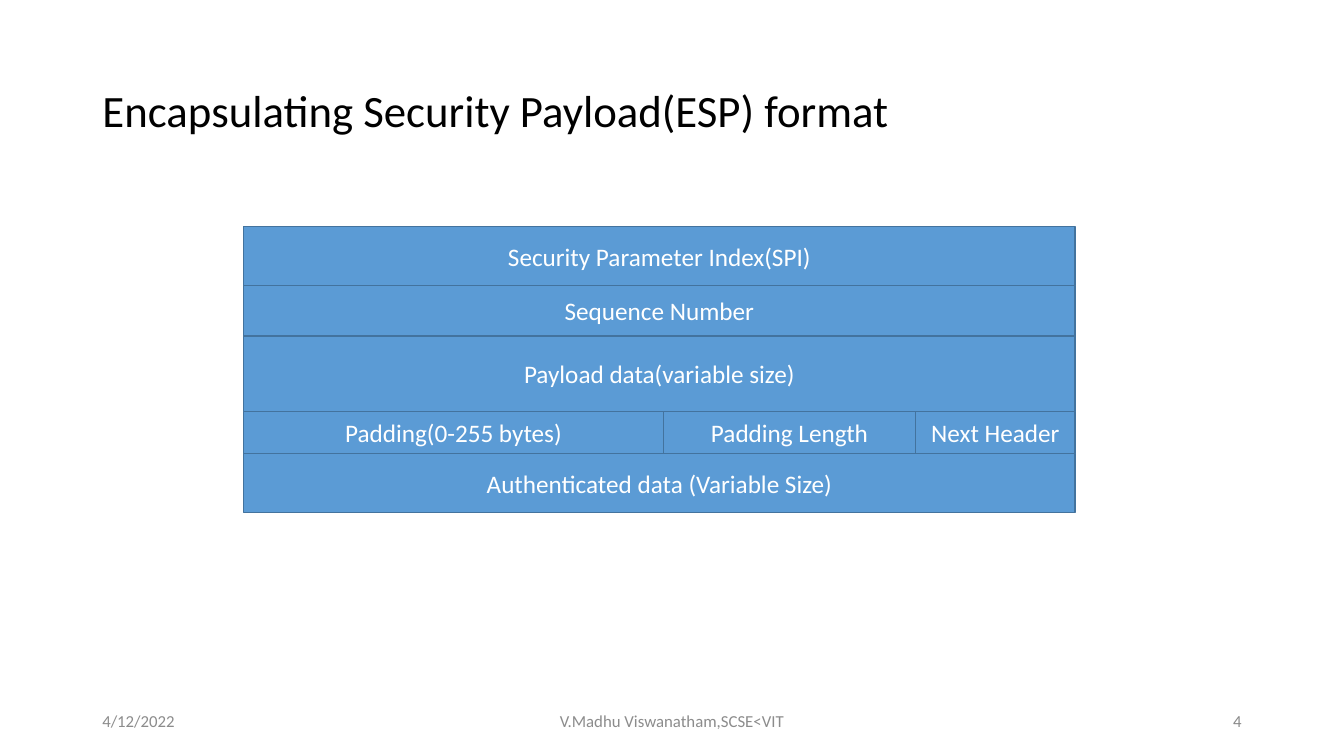
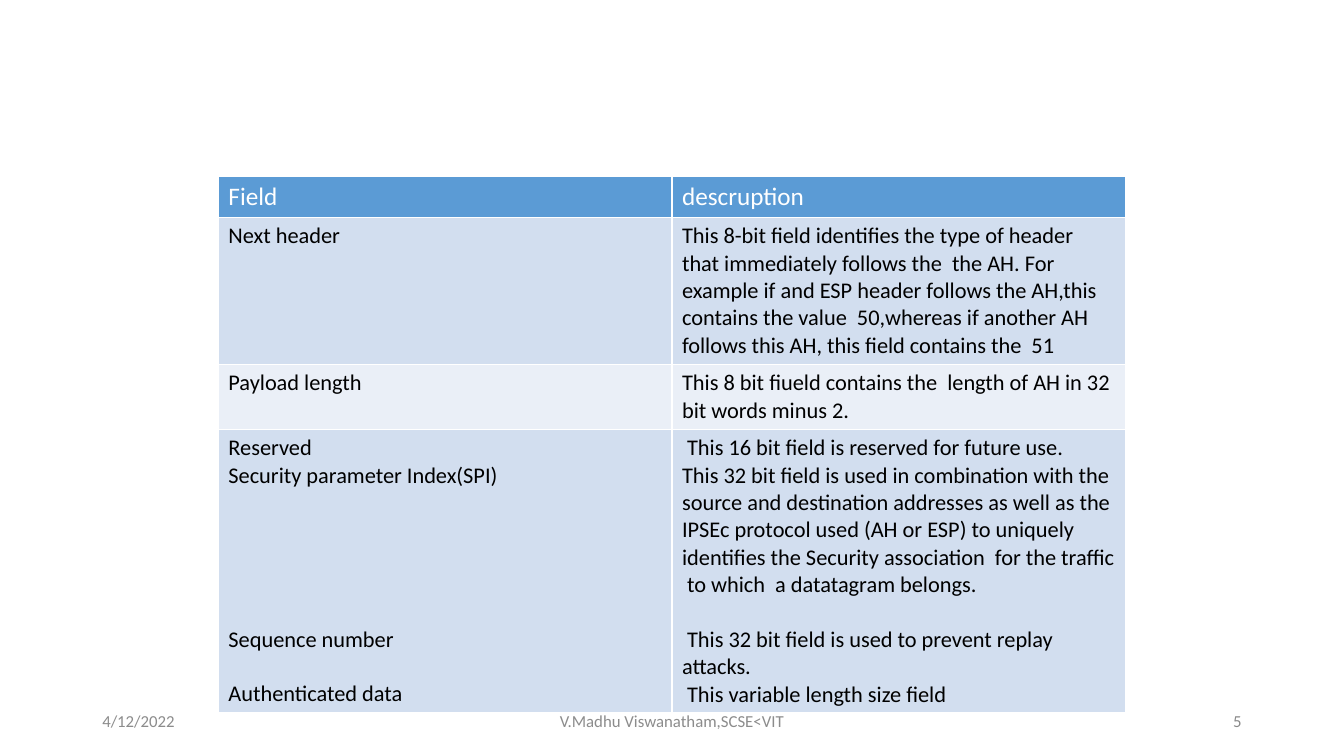
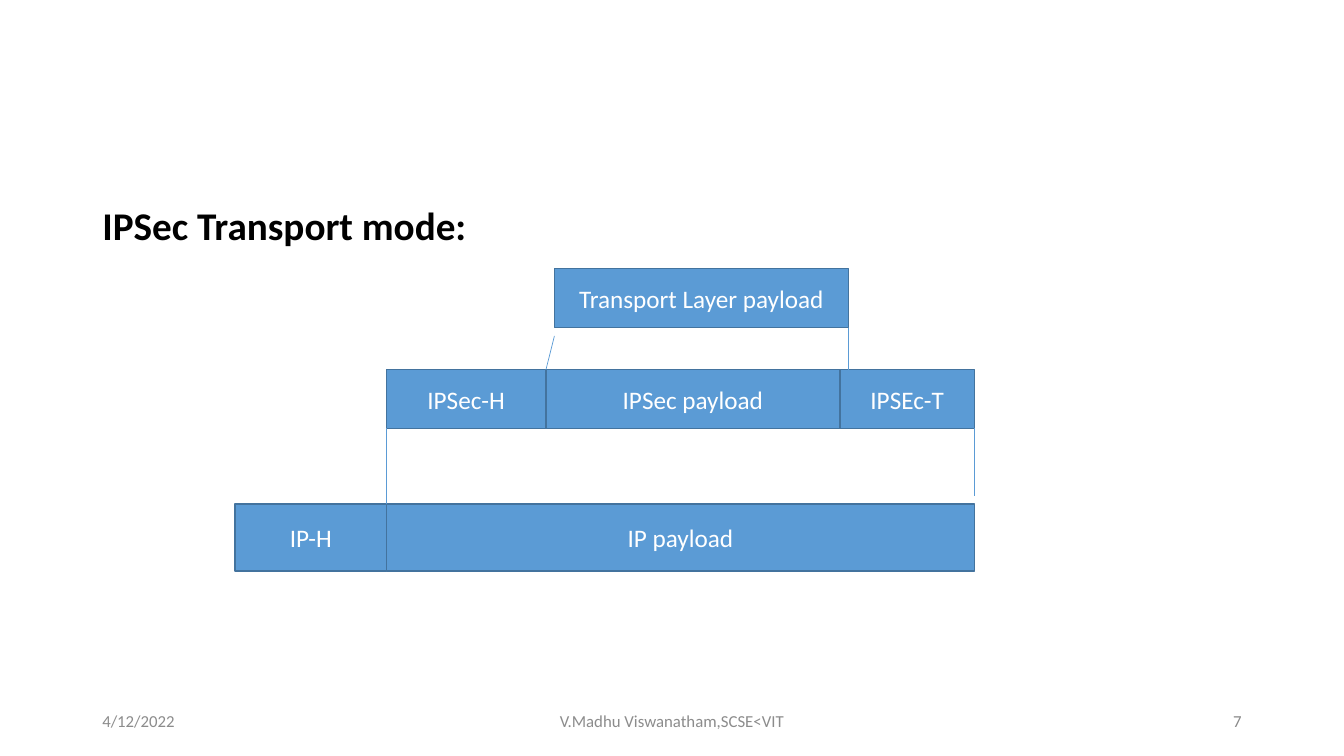
import pptx
import pptx.dml.color
import pptx.enum.shapes
import pptx.enum.text
import pptx.oxml.ns
import pptx.util
from lxml import etree

Pt = pptx.util.Pt
ALIGN = pptx.enum.text.PP_ALIGN
ANCHOR = pptx.enum.text.MSO_ANCHOR

FONT = "Calibri"
COLORS = {
    "ink": "000000", "white": "FFFFFF", "footer": "8C8C8C", "number": "898989",
    "blue": "5B9BD5", "outline": "43739E", "odd": "D2DEEF", "even": "EAEFF7",
}
TITLE_ONLY, BLANK = 5, 6
MARGIN, CONTENT_WIDTH = 66, 828

DATE = "4/12/2022"
AUTHOR = "V.Madhu Viswanatham,SCSE<VIT"

ESP_TITLE = "Encapsulating Security Payload(ESP) format"
ESP_LEFT, ESP_TOP = 174, 162
# Each band: height, then its fields with their widths
ESP_BANDS = [
    (42, [("Security Parameter Index(SPI)", 594)]),
    (36, [("Sequence Number", 594)]),
    (54, [("Payload data(variable size)", 594)]),
    (30, [("Padding(0-255 bytes)", 300), ("Padding Length", 180), ("Next Header", 114)]),
    (42, [("Authenticated data (Variable Size)", 594)]),
]

# Each paragraph: text, empty lines above it, first-line indent
LINE_HEIGHT = 19.53
AH_HEADER = ["Field", "descruption"]
AH_ROWS = [
    ([("Next header", 0, 0)],
     [("This 8-bit field identifies the type of header that immediately follows the  the AH. "
       "For example if and ESP header follows the AH,this contains the value  50,whereas if "
       "another AH  follows this AH, this field contains the  51", 0, 0)]),
    ([("Payload length", 0, 0)],
     [("This 8 bit fiueld contains the  length of AH in 32 bit words minus 2.", 0, 0)]),
    ([("Reserved", 0, 0), ("Security parameter Index(SPI)", 0, 0),
      ("Sequence number", 5, 0), ("Authenticated data", 1, 0)],
     [("This 16 bit field is reserved for future use.", 0, 3.6),
      ("This 32 bit field is used in combination with the source and destination addresses as "
       "well as the IPSEc protocol used (AH or ESP) to uniquely identifies the Security "
       "association  for the traffic  to which  a datatagram belongs.", 0, 0),
      ("This 32 bit field is used to prevent replay attacks.", 1, 3.6),
      ("This variable length size field", 0, 3.6)]),
]
AH_ROW_HEIGHTS = [29.2, 105, 46.5, 202]

TRANSPORT_TITLE = "IPSec Transport mode:"
# Each layer: left, top, height, then its parts with their widths
TRANSPORT_LAYERS = [
    (396, 192, 42, [("Transport Layer payload", 210)]),
    (276, 264, 42, [("IPSec-H", 114), ("IPSec payload", 210), ("IPSEc-T", 96)]),
    (168, 360, 48, [("IP-H", 108), ("IP payload", 420)]),
]
LAYER_LINKS = [(396, 240, 390, 264), (606, 234, 606, 270),
               (276, 306, 276, 360), (696, 306, 696, 354)]


def rgb(name):
    return pptx.dml.color.RGBColor.from_string(COLORS[name])


def style(paragraph, size, color, align=ALIGN.LEFT, bold=False):
    paragraph.alignment = align
    font = paragraph.font
    font.name, font.size, font.bold = FONT, Pt(size), bold
    font.color.rgb = rgb(color)


def add_footer(slide, number):
    parts = [(DATE, MARGIN, 216, ALIGN.LEFT, "footer"),
             (AUTHOR, 318, 324, ALIGN.CENTER, "footer"),
             (str(number), 678, 216, ALIGN.RIGHT, "number")]
    for text, left, width, align, color in parts:
        frame = slide.shapes.add_textbox(Pt(left), Pt(500.5), Pt(width), Pt(28.8)).text_frame
        frame.word_wrap = True
        frame.vertical_anchor = ANCHOR.MIDDLE
        frame.text = text
        style(frame.paragraphs[0], 12, color, align)


def set_title(slide, text, top, height, size, anchor, bold=False):
    title = slide.shapes.title
    title.left, title.top = Pt(MARGIN), Pt(top)
    title.width, title.height = Pt(CONTENT_WIDTH), Pt(height)
    frame = title.text_frame
    frame.text = text
    frame.auto_size = pptx.enum.text.MSO_AUTO_SIZE.NONE
    frame.vertical_anchor = anchor
    frame.paragraphs[0].line_spacing = 0.9
    style(frame.paragraphs[0], size, "ink", bold=bold)


def add_band(slide, left, top, height, fields):
    """Draw a row of labelled boxes that touch each other."""
    for label, width in fields:
        box = slide.shapes.add_shape(pptx.enum.shapes.MSO_SHAPE.RECTANGLE,
                                     Pt(left), Pt(top), Pt(width), Pt(height))
        box.shadow.inherit = False
        box.fill.solid()
        box.fill.fore_color.rgb = rgb("blue")
        box.line.color.rgb = rgb("outline")
        box.line.width = Pt(1)
        box.text_frame.text = label
        box.text_frame.vertical_anchor = ANCHOR.MIDDLE
        style(box.text_frame.paragraphs[0], 18, "white", ALIGN.CENTER)
        left += width


def add_link(slide, *ends):
    link = slide.shapes.add_connector(pptx.enum.shapes.MSO_CONNECTOR.STRAIGHT,
                                      *[Pt(end) for end in ends])
    link.line.color.rgb = rgb("blue")
    link.line.width = Pt(0.5)
    etree.SubElement(link._element.spPr, pptx.oxml.ns.qn("a:effectLst"))


def fill_cell(cell, paragraphs, fill, size, color):
    cell.fill.solid()
    cell.fill.fore_color.rgb = rgb(fill)
    frame = cell.text_frame
    for index, (text, lines_above, indent) in enumerate(paragraphs):
        paragraph = frame.add_paragraph() if index else frame.paragraphs[0]
        paragraph.text = text
        if lines_above:
            paragraph.space_before = Pt(lines_above * LINE_HEIGHT)
        if indent:
            paragraph._p.get_or_add_pPr().set("indent", str(Pt(indent)))
        style(paragraph, size, color)


def build_esp_format(slide):
    set_title(slide, ESP_TITLE, 28.8, 104.4, 32, ANCHOR.MIDDLE)
    top = ESP_TOP
    for height, fields in ESP_BANDS:
        add_band(slide, ESP_LEFT, top, height, fields)
        top += height


def build_ah_fields(slide):
    table = slide.shapes.add_table(len(AH_ROW_HEIGHTS), len(AH_HEADER), Pt(156), Pt(126),
                                   Pt(648), Pt(sum(AH_ROW_HEIGHTS))).table
    for row, height in zip(table.rows, AH_ROW_HEIGHTS):
        row.height = Pt(height)
    for column, heading in enumerate(AH_HEADER):
        fill_cell(table.cell(0, column), [(heading, 0, 0)], "blue", 18, "white")
    for row, cells in enumerate(AH_ROWS, 1):
        for column, paragraphs in enumerate(cells):
            fill_cell(table.cell(row, column), paragraphs,
                      "odd" if row % 2 else "even", 16, "ink")


def build_transport_mode(slide):
    set_title(slide, TRANSPORT_TITLE, 144, 48, 28, ANCHOR.TOP, bold=True)
    for layer in TRANSPORT_LAYERS:
        add_band(slide, *layer)
    for ends in LAYER_LINKS:
        add_link(slide, *ends)


def main():
    deck = pptx.Presentation()
    deck.slide_width, deck.slide_height = Pt(960), Pt(540)
    for build, layout, number in [(build_esp_format, TITLE_ONLY, 4),
                                  (build_ah_fields, BLANK, 5),
                                  (build_transport_mode, TITLE_ONLY, 7)]:
        slide = deck.slides.add_slide(deck.slide_layouts[layout])
        build(slide)
        add_footer(slide, number)
    deck.save("out.pptx")


if __name__ == "__main__":
    main()
